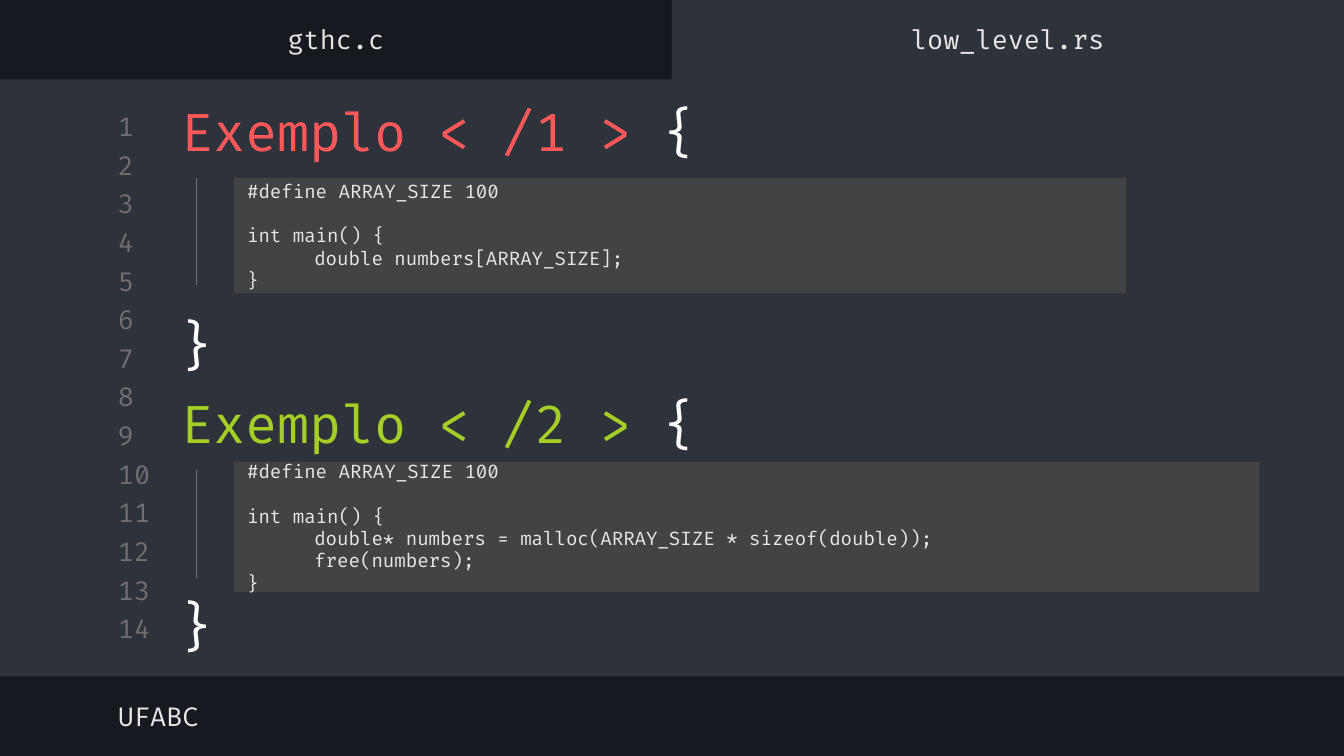
"""Build the slide with two C examples in a code-editor layout."""
from lxml import etree
from pptx import Presentation
from pptx import util as u
from pptx.dml.color import RGBColor
from pptx.enum import shapes, text
from pptx.oxml.ns import qn

FONT = "Fira Code"
DARK = RGBColor(0x16, 0x19, 0x1F)
PANEL = RGBColor(0x2E, 0x32, 0x3B)
CODE_BG = RGBColor(0x43, 0x43, 0x43)
GREY = RGBColor(0x70, 0x70, 0x70)
LIGHT = RGBColor(0xE7, 0xE7, 0xE7)
WHITE = RGBColor(0xFF, 0xFF, 0xFF)
RED = RGBColor(0xFF, 0x58, 0x58)
GREEN = RGBColor(0xA5, 0xCF, 0x27)

CODE_1 = """#define ARRAY_SIZE 100

int main() {
    double numbers[ARRAY_SIZE];
}"""
CODE_2 = """#define ARRAY_SIZE 100

int main() {
    double* numbers = malloc(ARRAY_SIZE * sizeof(double));
    free(numbers);
}"""


def place(sp, x, y, w, h):
    sp.left, sp.top, sp.width, sp.height = (u.Cm(v) for v in (x, y, w, h))


def setup_frame(sp, anchor=text.MSO_ANCHOR.MIDDLE):
    tf = sp.text_frame
    tf.word_wrap = True
    tf.auto_size = text.MSO_AUTO_SIZE.NONE
    tf.vertical_anchor = anchor
    tf.margin_left = tf.margin_right = tf.margin_top = tf.margin_bottom = u.Cm(0.25)
    return tf


def write(p, content, size=14, color=LIGHT, align=text.PP_ALIGN.LEFT, margin=0, before=0):
    pPr = p._p.get_or_add_pPr()
    pPr.set("marL", str(u.Cm(margin)))
    pPr.set("indent", "0")
    etree.SubElement(pPr, qn("a:buNone"))
    p.alignment = align
    p.space_before = u.Pt(before)
    r = p.add_run()
    r.text = content
    style_run(r, size, color)


def style_run(r, size, color):
    r.font.name = FONT
    r.font.size = u.Pt(size)
    r.font.bold = False
    r.font.color.rgb = color


def add_label(s, box, content, anchor=text.MSO_ANCHOR.MIDDLE, **fmt):
    sp = s.shapes.add_textbox(*(u.Cm(v) for v in box))
    write(setup_frame(sp, anchor).paragraphs[0], content, **fmt)


def add_panel(s, *box):
    sp = s.shapes.add_shape(shapes.MSO_SHAPE.RECTANGLE, *(u.Cm(v) for v in box))
    sp.shadow.inherit = False
    sp.fill.solid()
    sp.fill.fore_color.rgb = PANEL
    sp.line.fill.background()
    s.shapes._spTree.insert(2, sp._element)


def fill_heading(sp, y, content, color):
    place(sp, 3.18, y, 11.28, 1.47)
    p = setup_frame(sp).paragraphs[0]
    write(p, content, size=28, color=color)
    r = p.add_run()
    r.text = "{"
    style_run(r, 28, WHITE)


def fill_code(sp, box, code):
    place(sp, *box)
    sp.fill.solid()
    sp.fill.fore_color.rgb = CODE_BG
    tf = setup_frame(sp)
    p, before = tf.paragraphs[0], 0
    for line in code.split("\n"):
        if not line:
            before = 12
            continue
        p = p if not p.runs else tf.add_paragraph()
        margin = 1.27 if line.startswith(" ") else 0
        write(p, line.strip(), size=10, margin=margin, before=before)
        before = 0


def add_closing(s, line_y, brace_y):
    x = u.Cm(3.71)
    line = s.shapes.add_connector(
        shapes.MSO_CONNECTOR.STRAIGHT, x, u.Cm(line_y), x, u.Cm(line_y + 2.03))
    line.line.color.rgb = GREY
    line.line.width = u.Pt(0.75)
    etree.SubElement(line._element.spPr, qn("a:effectLst"))
    add_label(s, (3.02, brace_y, 1.4, 1.7), "}", anchor=text.MSO_ANCHOR.TOP,
              size=28, color=WHITE, align=text.PP_ALIGN.CENTER)


def main():
    prs = Presentation()
    prs.slide_width, prs.slide_height = u.Cm(25.4), u.Cm(14.29)
    s = prs.slides.add_slide(prs.slide_layouts.get_by_name("Comparison"))
    s.background.fill.solid()
    s.background.fill.fore_color.rgb = DARK
    add_panel(s, 0, 1.5, 25.4, 11.28)
    add_panel(s, 12.7, 0, 12.7, 1.65)

    body = {sp.placeholder_format.idx: sp for sp in s.placeholders}
    fill_heading(s.shapes.title, 1.73, "Exemplo < /1 > ", RED)
    fill_heading(body[1], 7.26, "Exemplo < /2 > ", GREEN)
    fill_code(body[2], (4.42, 3.36, 16.86, 2.18), CODE_1)
    fill_code(body[4], (4.42, 8.73, 19.38, 2.46), CODE_2)
    place(body[3], 1.98, 13.04, 13.51, 0.99)
    write(setup_frame(body[3]).paragraphs[0], "UFABC")

    for i in range(14):
        add_label(s, (1.98, 2.08 + 0.73 * i, 1.19, 0.61), str(i + 1), color=GREY)
    add_closing(s, 3.36, 5.66)
    add_closing(s, 8.89, 10.97)
    for i, name in enumerate(("gthc.c", "low_level.rs")):
        add_label(s, (12.7 * i, 0.25, 12.7, 0.99), name, align=text.PP_ALIGN.CENTER)
    prs.save("out.pptx")


if __name__ == "__main__":
    main()
